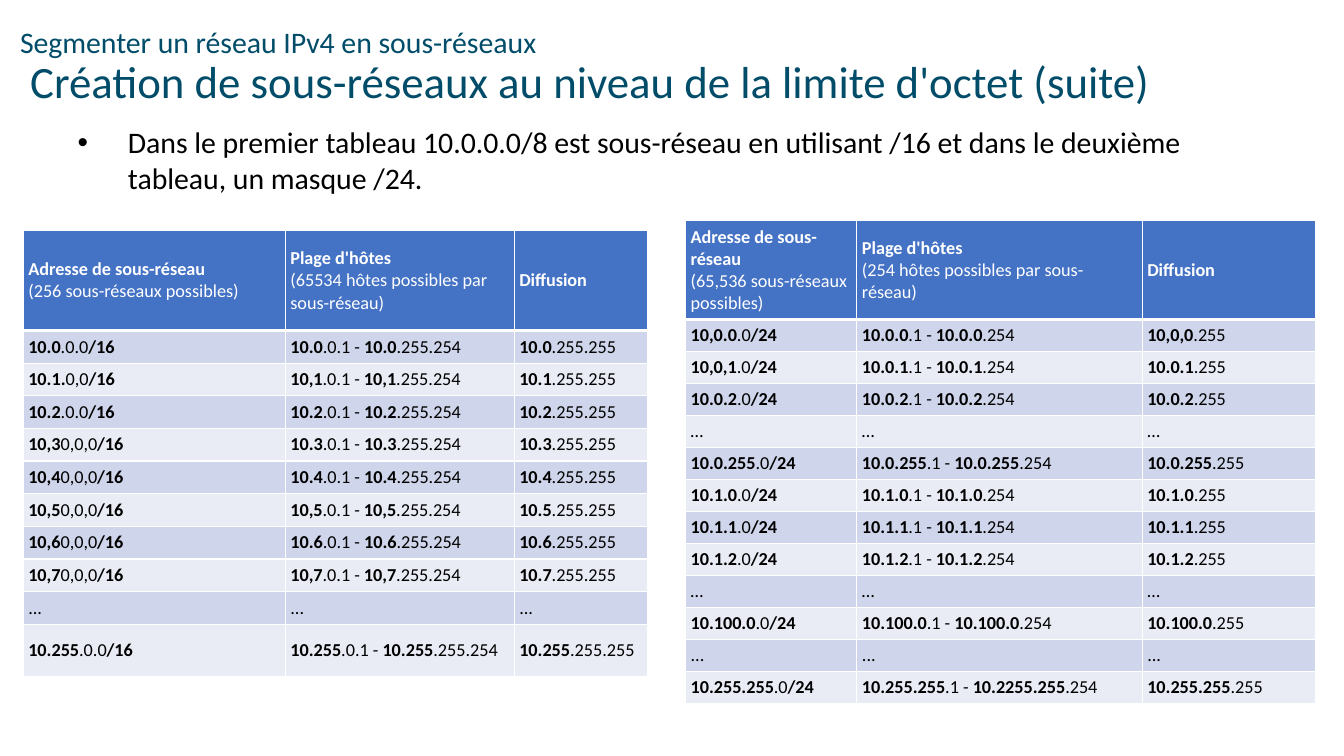
from copy import deepcopy

from pptx import Presentation
from pptx.dml.color import RGBColor
from pptx.enum.text import MSO_ANCHOR
from pptx.oxml import parse_xml
from pptx.oxml.ns import nsdecls, qn
from pptx.util import Inches, Pt

MIDDLE = MSO_ANCHOR.MIDDLE
TOP = MSO_ANCHOR.TOP
BLANK_LAYOUT = 6


def color(hex_code):
    return RGBColor.from_string(hex_code)


class SubnetSlide:
    FONT = "Calibri"
    TEAL, BLACK, WHITE = "004C69", "000000", "FFFFFF"
    HEADER, BANDS = "4472C4", ("CFD5EA", "E9EBF5")
    TABLE_SIZE, BODY_SIZE, TITLE_SIZE = 13, 21.3, 32

    def __init__(self, deck):
        self.width, self.height = deck.slide_width, deck.slide_height
        self.slide = deck.slides.add_slide(deck.slide_layouts[BLANK_LAYOUT])

    def across(self, percent):
        return round(self.width * percent / 100)

    def down(self, percent):
        return round(self.height * percent / 100)

    def place(self, left, top, width, height):
        return self.across(left), self.down(top), self.across(width), self.down(height)

    def add_pieces(self, paragraph, pieces, ink):
        for text, size, bold in pieces:
            run = paragraph.add_run()
            run.text = text.rstrip("\n")
            run.font.name = self.FONT
            run.font.size = Pt(size)
            run.font.bold = bold
            run.font.color.rgb = color(ink)
            if text.endswith("\n"):
                paragraph.add_line_break()
                line_break = paragraph._p.findall(qn("a:br"))[-1]
                line_break.append(deepcopy(run._r.rPr))

    def text_box(self, area, anchor):
        frame = self.slide.shapes.add_textbox(*self.place(*area)).text_frame
        frame.word_wrap = True
        frame.vertical_anchor = anchor
        return frame.paragraphs[0]

    def title(self, area, topic, heading):
        paragraph = self.text_box(area, MIDDLE)
        paragraph.line_spacing = 0.9
        pieces = [(topic + "\n", self.BODY_SIZE, False), (heading, self.TITLE_SIZE, False)]
        self.add_pieces(paragraph, pieces, self.TEAL)

    def bullet(self, area, statement):
        paragraph = self.text_box(area, TOP)
        properties = paragraph._p.get_or_add_pPr()
        properties.set("marL", str(Inches(0.5)))
        properties.set("indent", str(-Inches(0.5)))
        properties.append(parse_xml(f'<a:buFont {nsdecls("a")} typeface="Arial"/>'))
        properties.append(parse_xml(f'<a:buChar {nsdecls("a")} char="•"/>'))
        self.add_pieces(paragraph, [(statement, self.BODY_SIZE, False)], self.BLACK)

    def borders(self, cell, bottom):
        properties = cell._tc.get_or_add_tcPr()
        sides = {"lnL": 1, "lnR": 1, "lnT": 1, "lnB": bottom}
        for index, (side, points) in enumerate(sides.items()):
            properties.insert(index, parse_xml(
                f'<a:{side} {nsdecls("a")} w="{Pt(points)}"><a:solidFill>'
                f'<a:srgbClr val="{self.WHITE}"/></a:solidFill></a:{side}>'))

    def cell(self, cell, marked_text, row):
        cell.margin_left = cell.margin_right = Inches(0.05)
        cell.margin_top = cell.margin_bottom = Inches(0.05)
        cell.vertical_anchor = MIDDLE
        cell.fill.solid()
        cell.fill.fore_color.rgb = color(self.BANDS[(row - 1) % 2] if row else self.HEADER)
        self.borders(cell, 1 if row else 3)
        pieces = [(text, self.TABLE_SIZE, index % 2 == 1)
                  for index, text in enumerate(marked_text.split("*")) if text]
        self.add_pieces(cell.text_frame.paragraphs[0], pieces,
                        self.BLACK if row else self.WHITE)

    def table(self, left, top, columns, heights, rows):
        area = self.place(left, top, sum(columns), sum(heights))
        table = self.slide.shapes.add_table(len(rows), len(columns), *area).table
        for column, width in zip(table.columns, columns):
            column.width = self.across(width)
        for index, (height, texts) in enumerate(zip(heights, rows)):
            table.rows[index].height = self.down(height)
            for cell, text in zip(table.rows[index].cells, texts):
                self.cell(cell, text, index)


def header(subnets, hosts):
    return (f"*Adresse de sous-réseau\n*({subnets} sous-réseaux possibles)",
            f"*Plage d'hôtes\n*({hosts} hôtes possibles par sous-réseau)",
            "*Diffusion*")


def row_16(subnet, rest, hosts, broadcast):
    return (f"*{subnet}*{rest}*/16*",
            f"*{hosts}*.0.1 - *{hosts}*.255.254",
            f"*{broadcast}*.255.255")


def row_24(subnet, first=None, last=None, broadcast=None):
    first = first or subnet
    return (f"*{subnet}*.0*/24*",
            f"*{first}*.1 - *{last or first}*.254",
            f"*{broadcast or first}*.255")


def main():
    deck = Presentation()
    deck.slide_width, deck.slide_height = Inches(13.33), Inches(7.5)
    page = SubnetSlide(deck)
    page.title((0.75, 1.87, 91.3, 14.27),
               "Segmenter un réseau IPv4 en sous-réseaux",
               " Création de sous-réseaux au niveau de la limite d'octet (suite)")
    page.bullet((5.03, 15.73, 90.55, 7.07),
                "Dans le premier tableau 10.0.0.0/8 est sous-réseau en utilisant /16 "
                "et dans le deuxième tableau, un masque /24.")

    dots, ellipsis = ("...",) * 3, ("…",) * 3
    subnets_16 = [
        header("256", "65534"),
        row_16("10.0", ".0.0", "10.0", "10.0"),
        row_16("10.1.", "0,0", "10,1", "10.1"),
        row_16("10.2", ".0.0", "10.2", "10.2"),
        row_16("10,3", "0,0,0", "10.3", "10.3"),
        row_16("10,4", "0,0,0", "10.4", "10.4"),
        row_16("10,5", "0,0,0", "10,5", "10.5"),
        row_16("10,6", "0,0,0", "10.6", "10.6"),
        row_16("10,7", "0,0,0", "10,7", "10.7"),
        dots,
        row_16("10.255", ".0.0", "10.255", "10.255"),
    ]
    subnets_24 = [
        header("65,536", "254"),
        row_24("10,0.0", first="10.0.0", broadcast="10,0,0"),
        row_24("10,0,1", first="10.0.1"),
        row_24("10.0.2"),
        ellipsis,
        row_24("10.0.255"),
        row_24("10.1.0"),
        row_24("10.1.1"),
        row_24("10.1.2"),
        ellipsis,
        row_24("10.100.0"),
        dots,
        row_24("10.255.255", last="10.2255.255"),
    ]
    page.table(1.73, 30.53, (19.5, 17.03, 9.9), [13.2] + [4.32] * 9 + [6.9], subnets_16)
    page.table(51.01, 29.2, (12.75, 21.23, 12.9), [13.07] + [4.2] * 12, subnets_24)
    deck.save("out.pptx")


if __name__ == "__main__":
    main()
